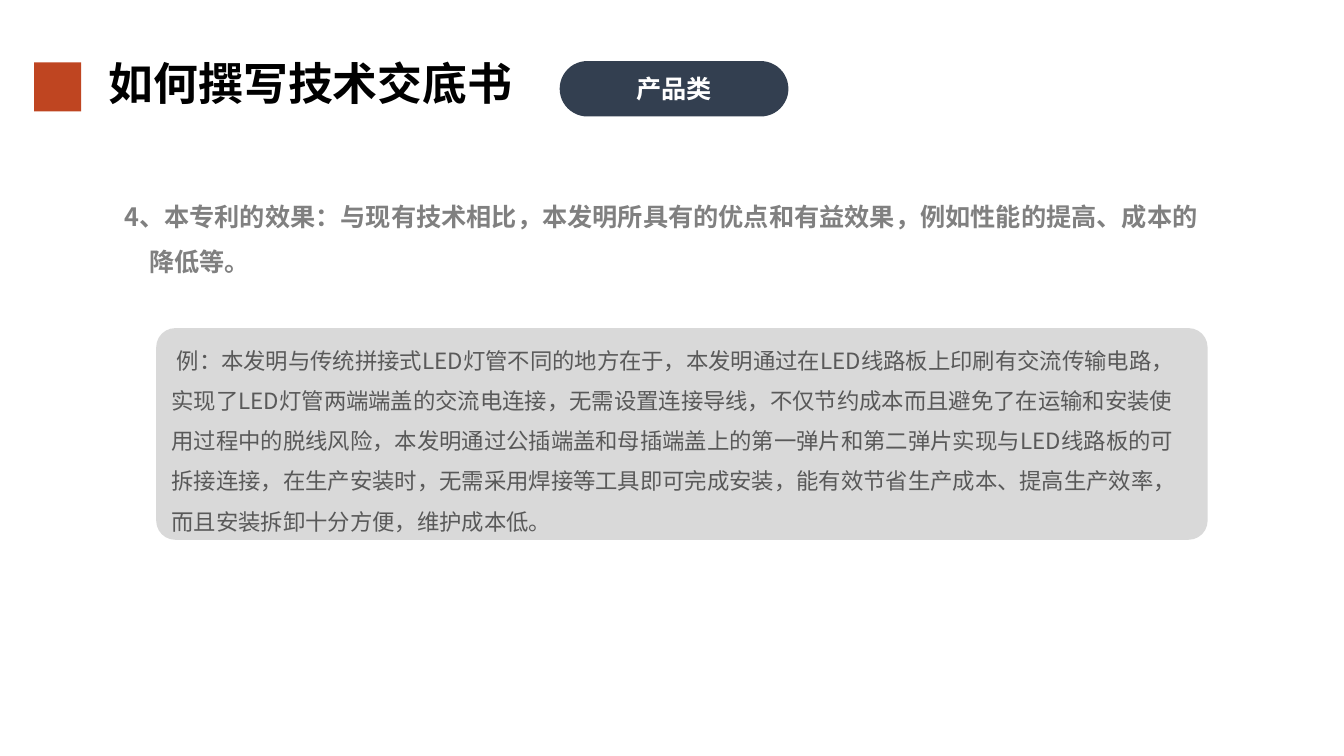
import pptx
import pptx.util
import pptx.dml.color
import pptx.enum.shapes
import pptx.enum.text
import lxml.etree

Pt = pptx.util.Pt
FONT = "Noto Sans CJK SC"
SHAPE = pptx.enum.shapes.MSO_SHAPE
ALIGN = pptx.enum.text.PP_ALIGN
ANCHOR = pptx.enum.text.MSO_ANCHOR


def paint(item, tint):
    item.shadow.inherit = False
    item.fill.solid()
    item.fill.fore_color.rgb = pptx.dml.color.RGBColor.from_string(tint)
    item.line.fill.background()


def write(item, text, size, tint, bold, space, align=ALIGN.LEFT, anchor=ANCHOR.TOP):
    frame = item.text_frame
    frame.word_wrap = True
    frame.vertical_anchor = anchor
    para = frame.paragraphs[0]
    para.alignment = align
    para.line_spacing = space
    run = para.add_run()
    run.text = text
    run.font.size = Pt(size)
    run.font.bold = bold
    run.font.name = FONT
    run.font.color.rgb = pptx.dml.color.RGBColor.from_string(tint)
    props = run.font._element
    props.set("lang", "zh-CN")
    east = lxml.etree.SubElement(props, pptx.oxml.ns.qn("a:ea"))
    east.set("typeface", FONT)
    return para


deck = pptx.Presentation()
deck.slide_width = Pt(960)
deck.slide_height = Pt(540)
slide = deck.slides.add_slide(deck.slide_layouts[6])
shapes = slide.shapes

point = shapes.add_textbox(Pt(81.6), Pt(129.4), Pt(786.2), Pt(90))
para = write(
    point,
    "4、本专利的效果：与现有技术相比，本发明所具有的优点和有益效果，例如性能的提高、成本的降低等。",
    18, "808080", True, 1.5,
)
para._p.get_or_add_pPr().set("marL", str(Pt(18)))
para._p.get_or_add_pPr().set("indent", str(Pt(-18)))

panel = shapes.add_shape(SHAPE.ROUNDED_RECTANGLE, Pt(111.6), Pt(234.4), Pt(751), Pt(151.2))
panel.adjustments[0] = 0.09
paint(panel, "D9D9D9")
para = write(
    panel,
    "例：本发明与传统拼接式LED灯管不同的地方在于，本发明通过在LED线路板上印刷有交流传输电路，"
    "实现了LED灯管两端端盖的交流电连接，无需设置连接导线，不仅节约成本而且避免了在运输和安装使用过程中的脱线风险，"
    "本发明通过公插端盖和母插端盖上的第一弹片和第二弹片实现与LED线路板的可拆接连接，"
    "在生产安装时，无需采用焊接等工具即可完成安装，能有效节省生产成本、提高生产效率，"
    "而且安装拆卸十分方便，维护成本低。",
    16, "595959", False, 1.5, anchor=ANCHOR.MIDDLE,
)
para._p.get_or_add_pPr().set("indent", str(Pt(3.6)))

pill = shapes.add_shape(SHAPE.ROUNDED_RECTANGLE, Pt(399.8), Pt(43.6), Pt(163.4), Pt(39.6))
pill.adjustments[0] = 0.5
paint(pill, "333F50")
write(pill, "产品类", 18, "FFFFFF", True, 1.0, ALIGN.CENTER, ANCHOR.MIDDLE)

block = shapes.add_shape(SHAPE.RECTANGLE, Pt(24.5), Pt(44.5), Pt(33.5), Pt(35))
paint(block, "BF4521")

title = shapes.add_textbox(Pt(70.6), Pt(43.9), Pt(318.2), Pt(38.2))
write(title, "如何撰写技术交底书", 32, "000000", True, 0.8)

deck.save("out.pptx")
